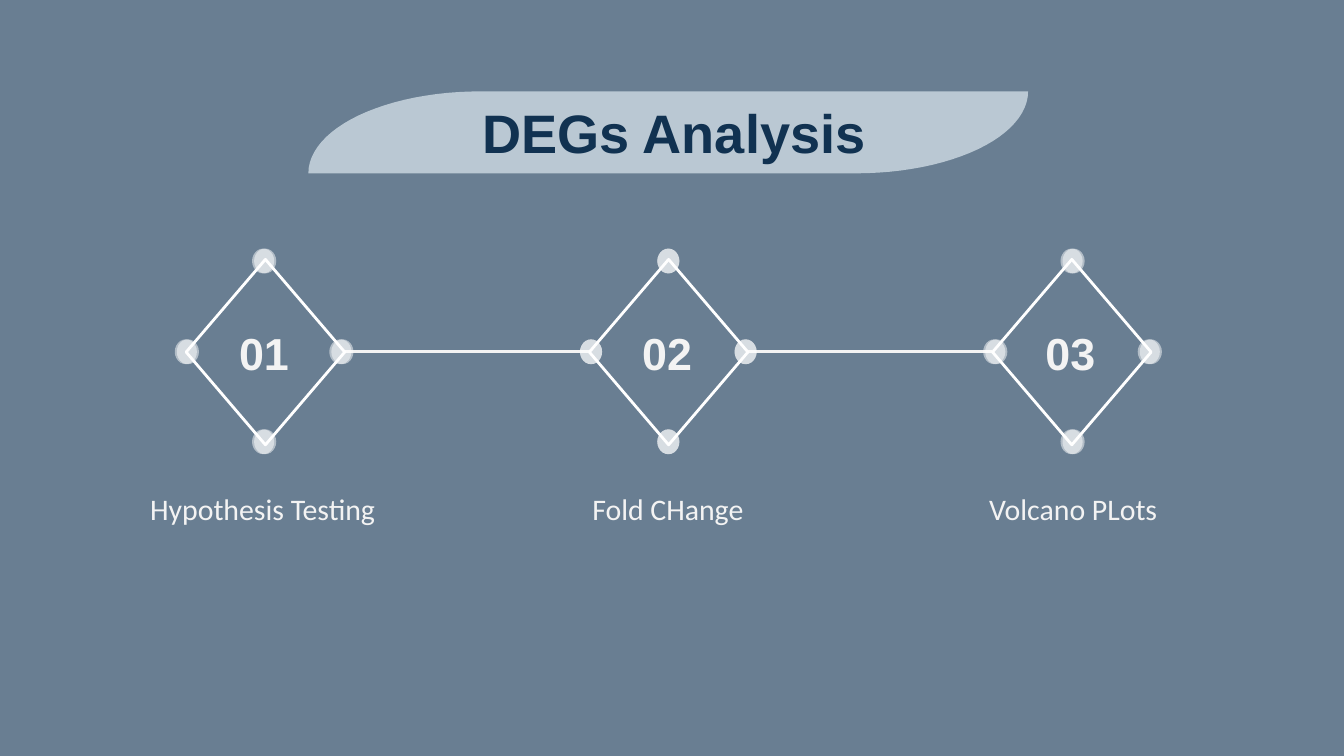
from math import cos, pi, sin

from lxml import etree
from pptx import Presentation
from pptx.dml.color import RGBColor
from pptx.enum.shapes import MSO_CONNECTOR, MSO_SHAPE
from pptx.enum.text import MSO_ANCHOR, PP_ALIGN
from pptx.oxml.ns import qn
from pptx.util import Pt

RECTANGLE, DIAMOND, OVAL = MSO_SHAPE.RECTANGLE, MSO_SHAPE.DIAMOND, MSO_SHAPE.OVAL
STRAIGHT = MSO_CONNECTOR.STRAIGHT
TOP, MIDDLE, BOTTOM = MSO_ANCHOR.TOP, MSO_ANCHOR.MIDDLE, MSO_ANCHOR.BOTTOM
LEFT, CENTER = PP_ALIGN.LEFT, PP_ALIGN.CENTER

NAVY = RGBColor(0x06, 0x29, 0x4A)
TITLE_BLUE = RGBColor(0x11, 0x32, 0x51)
BANNER_BLUE = RGBColor(0xBA, 0xC8, 0xD3)
PALE = RGBColor(0xF3, 0xF3, 0xF3)
WHITE = RGBColor(0xFF, 0xFF, 0xFF)

SCALE = 4572  # EMU per px, 200 px to the inch
WIDTH, HEIGHT = 2000, 1125
INSET = 20
DOT_WIDTH, DOT_HEIGHT = 37, 33
STEPS = [("01", "Hypothesis Testing"), ("02", "Fold CHange"), ("03", "Volcano PLots")]
DIAMOND_BOX = (277, 386, 236, 276)
DIAMOND_PITCH = 600
LABEL_BOX = (86, 697, 610, 106)
LABEL_PITCH = 603


def px(*lengths):
    return [round(length * SCALE) for length in lengths]


def set_text(shape, text, *, font, size, color, bold=False, align=LEFT, anchor=TOP):
    frame = shape.text_frame
    frame.word_wrap = True
    frame.vertical_anchor = anchor
    frame.margin_left, frame.margin_top, frame.margin_right, frame.margin_bottom = px(*[INSET] * 4)
    paragraph = frame.paragraphs[0]
    paragraph.alignment = align
    run = paragraph.add_run()
    run.text = text
    run.font.name, run.font.size, run.font.bold = font, Pt(size), bold
    run.font.color.rgb = color


def set_fill(shape, color, opacity=100):
    shape.shadow.inherit = False
    shape.line.fill.background()
    shape.fill.solid()
    shape.fill.fore_color.rgb = color
    if opacity < 100:
        color_element = shape._element.spPr.find(qn("a:solidFill")).find(qn("a:srgbClr"))
        etree.SubElement(color_element, qn("a:alpha")).set("val", str(opacity * 1000))


def add_background(slide):
    background = slide.shapes.add_shape(RECTANGLE, *px(0, 0, WIDTH, HEIGHT))
    set_fill(background, NAVY, opacity=60)


def add_label(slide, box, text):
    label = slide.shapes.add_textbox(*px(*box))
    set_text(label, text, font="Calibri", size=16, color=PALE, align=CENTER, anchor=BOTTOM)


def add_link(slide, start, end, y):
    link = slide.shapes.add_connector(STRAIGHT, *px(start, y, end, y))
    link.line.color.rgb = PALE
    link.line.width = Pt(1.5)
    etree.SubElement(link._element.spPr, qn("a:effectLst"))


def add_dots(shapes, box):
    """Place one upright dot on each corner of the diamond in the box."""
    left, top, _, _ = box
    for x, y in [(99, -14), (-16, 121), (214, 121), (99, 255)]:
        dot = shapes.add_shape(OVAL, *px(left + x, top + y, DOT_WIDTH, DOT_HEIGHT))
        dot.rotation = 90
        set_fill(dot, WHITE, opacity=49)


def add_marker(slide, box, number, back_shift):
    left, top, width, height = box
    # Back layer of dots, slightly shifted for the outer markers
    back = slide.shapes.add_group_shape().shapes
    add_dots(back, (left + back_shift, top, width, height))
    # Numbered diamond with its front dots
    front = slide.shapes.add_group_shape().shapes
    diamond = front.add_shape(DIAMOND, *px(*box))
    diamond.shadow.inherit = False
    diamond.fill.background()
    diamond.line.color.rgb = WHITE
    diamond.line.width = Pt(1.5)
    set_text(diamond, number, font="Arial", size=24, color=PALE, bold=True, anchor=MIDDLE)
    add_dots(front, box)


def add_steps(slide):
    left, top, width, height = DIAMOND_BOX
    label_left, label_top, label_width, label_height = LABEL_BOX
    for index, (_, text) in enumerate(STEPS):
        label_box = (label_left + index * LABEL_PITCH, label_top, label_width, label_height)
        add_label(slide, label_box, text)
    for index in range(len(STEPS) - 1):
        diamond_left = left + index * DIAMOND_PITCH
        add_link(slide, diamond_left + width - 3, diamond_left + DIAMOND_PITCH, top + height // 2 - 1)
    for index, (number, _) in enumerate(STEPS):
        box = (left + index * DIAMOND_PITCH, top, width, height)
        add_marker(slide, box, number, back_shift=3 * (index - 1))


def add_banner(slide, box, text):
    """Draw a banner with two opposite corners rounded to quarter ellipses."""
    left, top, width, height = box
    right, bottom, radius = left + width, top + height, 256
    angles = [pi / 2 * step / 24 for step in range(25)]
    upper_curve = [(left + radius - radius * sin(a), bottom - height * cos(a)) for a in angles]
    lower_curve = [(right - radius + radius * sin(a), top + height * cos(a)) for a in angles]
    builder = slide.shapes.build_freeform(*px(right, top))
    builder.add_line_segments([px(*point) for point in upper_curve + lower_curve])
    set_fill(builder.convert_to_shape(), BANNER_BLUE)

    title = slide.shapes.add_textbox(*px(left + 239, top - 8, 638, 138))
    set_text(title, text, font="Arial", size=29, color=TITLE_BLUE, bold=True)


def main():
    presentation = Presentation()
    presentation.slide_width, presentation.slide_height = px(WIDTH, HEIGHT)
    slide = presentation.slides.add_slide(presentation.slide_layouts[6])
    add_background(slide)
    add_steps(slide)
    add_banner(slide, (459, 136, 1071, 122), "DEGs Analysis")
    presentation.save("out.pptx")


if __name__ == "__main__":
    main()
